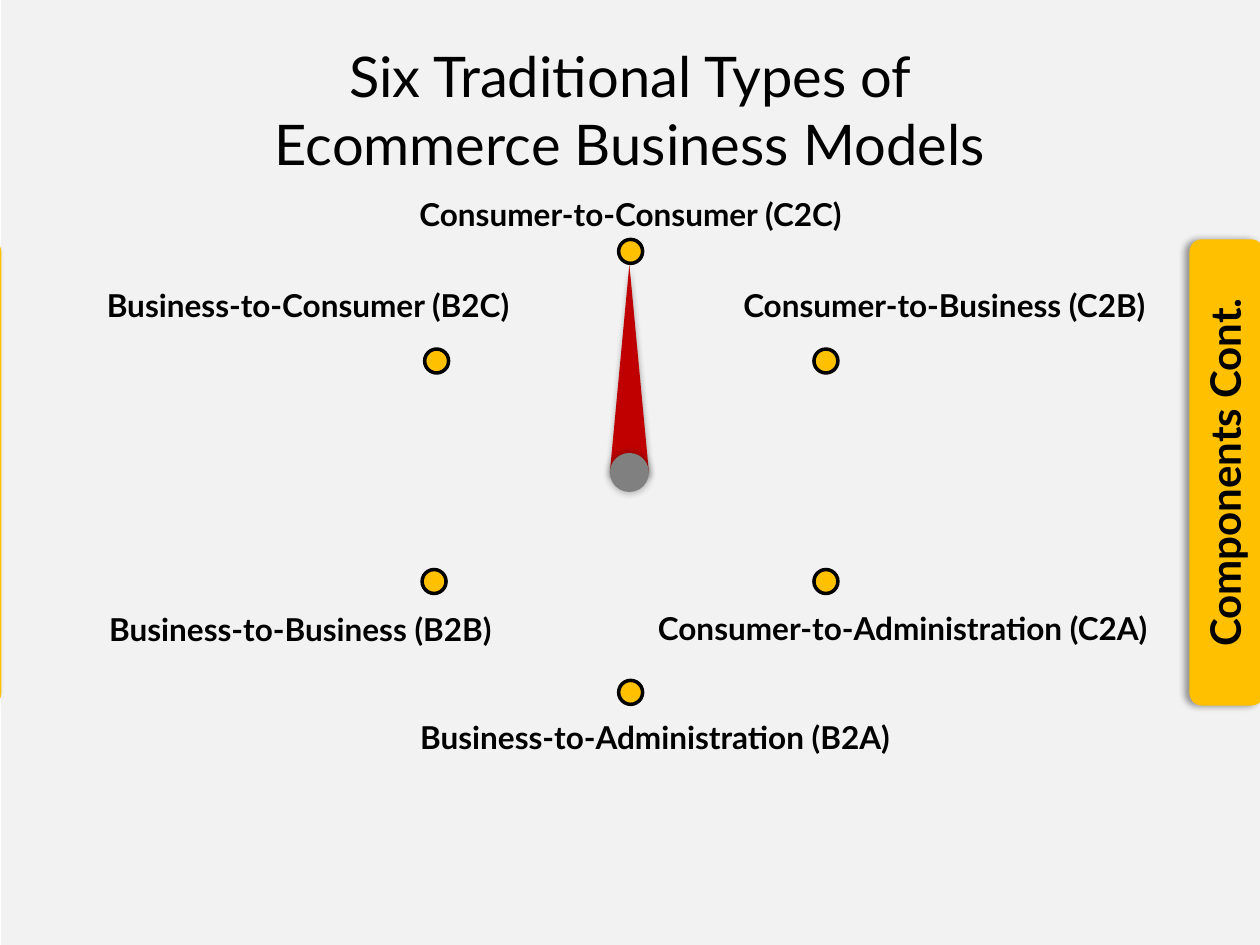
from lxml import etree
from pptx import Presentation
from pptx.dml.color import RGBColor
from pptx.enum.shapes import MSO_SHAPE
from pptx.enum.text import MSO_ANCHOR, PP_ALIGN
from pptx.oxml.ns import qn
from pptx.util import Inches, Pt

RECT, ROUND_RECT = MSO_SHAPE.RECTANGLE, MSO_SHAPE.ROUNDED_RECTANGLE
OVAL, TRIANGLE = MSO_SHAPE.OVAL, MSO_SHAPE.ISOSCELES_TRIANGLE
MIDDLE, CENTER = MSO_ANCHOR.MIDDLE, PP_ALIGN.CENTER

BLACK = RGBColor(0x00, 0x00, 0x00)
PALE = RGBColor(0xF2, 0xF2, 0xF2)
AMBER = RGBColor(0xFF, 0xC0, 0x00)
RED = RGBColor(0xC0, 0x00, 0x00)
GRAY = RGBColor(0x80, 0x80, 0x80)

FONT = "Lato"
DOT = 0.19
LABEL_H = 0.4
TAB_W, TAB_H = 0.59, 3.7

# Label text, label box (left, top, width), dot (left, top)
MODELS = [
    ("Consumer-to-Consumer (C2C)", (3.17, 1.5, 3.67), (4.91, 1.9)),
    ("Consumer-to-Business (C2B)", (5.72, 2.22, 3.55), (6.46, 2.77)),
    ("Consumer-to-Administration (C2A)", (5.08, 4.78, 4.17), (6.46, 4.52)),
    ("Business-to-Administration (B2A)", (3.17, 5.65, 4.06), (4.91, 5.4)),
    ("Business-to-Business (B2B)", (0.67, 4.79, 3.43), (3.35, 4.52)),
    ("Business-to-Consumer (B2C)", (0.67, 2.22, 3.55), (3.37, 2.77)),
]


def add_filled(s, kind, x, y, w, h, color):
    sp = s.shapes.add_shape(kind, Inches(x), Inches(y), Inches(w), Inches(h))
    sp.shadow.inherit = False
    sp.fill.solid()
    sp.fill.fore_color.rgb = color
    sp.line.fill.background()
    return sp


def add_shadow(sp, alpha, blur, dist, angle):
    effects = sp._element.spPr.find(qn("a:effectLst"))
    shadow = etree.SubElement(
        effects, qn("a:outerShdw"), blurRad=str(Pt(blur)), dist=str(Pt(dist)),
        dir=str(angle * 60000), algn="ctr", rotWithShape="0")
    color = etree.SubElement(shadow, qn("a:srgbClr"), val=str(BLACK))
    etree.SubElement(color, qn("a:alpha"), val=str(alpha * 1000))


def add_text(s, text, x, y, w, h, size, bold=False, wrap=True):
    sp = s.shapes.add_textbox(Inches(x), Inches(y), Inches(w), Inches(h))
    tf = sp.text_frame
    tf.word_wrap = wrap
    tf.vertical_anchor = MIDDLE
    p = tf.paragraphs[0]
    p.text = text
    p.alignment = CENTER
    p.font.name, p.font.size, p.font.bold = FONT, Pt(size), bold
    p.font.color.rgb = BLACK
    return sp


def add_side_tab(s, x, y, text=None):
    sp = add_filled(s, ROUND_RECT, x, y, TAB_W, TAB_H, AMBER)
    add_shadow(sp, 40, 4, 3, 180)
    if text:
        w, h = 3.43, 0.5
        cx, cy = x + TAB_W / 2 - 0.02, y + TAB_H / 2
        label = add_text(s, text, cx - w / 2, cy - h / 2, w, h, 24, bold=True)
        label.rotation = 270


def add_needle(s, x, y, w, h):
    # Pointer, then the round hub centred on its base
    pointer = add_filled(s, TRIANGLE, x, y, w, h, RED)
    add_shadow(pointer, 32, 3.5, 2.2, 90)
    hub = add_filled(s, OVAL, x, y + h - w / 2, w, w, GRAY)
    add_shadow(hub, 40, 5, 0, 0)


def add_model(s, text, label, dot):
    add_text(s, text, *label, LABEL_H, 18, bold=True, wrap=False)
    sp = add_filled(s, OVAL, *dot, DOT, DOT, AMBER)
    sp.line.color.rgb = BLACK
    sp.line.width = Pt(2)


def main():
    prs = Presentation()
    prs.slide_width, prs.slide_height = Inches(10), Inches(7.5)
    s = prs.slides.add_slide(prs.slide_layouts[6])

    # Background panel and side tabs
    add_filled(s, RECT, 0.01, 0, 10, 7.5, PALE)
    add_side_tab(s, 9.44, 1.9, "Components Cont.")
    add_side_tab(s, -0.58, 1.9)

    # Title
    add_text(s, "Six Traditional Types of Ecommerce Business Models",
             1.85, 0.27, 6.3, 1.19, 32)

    # Dial
    add_needle(s, 4.84, 2.1, 0.31, 1.65)
    for text, label, dot in MODELS:
        add_model(s, text, label, dot)

    prs.save("out.pptx")


if __name__ == "__main__":
    main()
